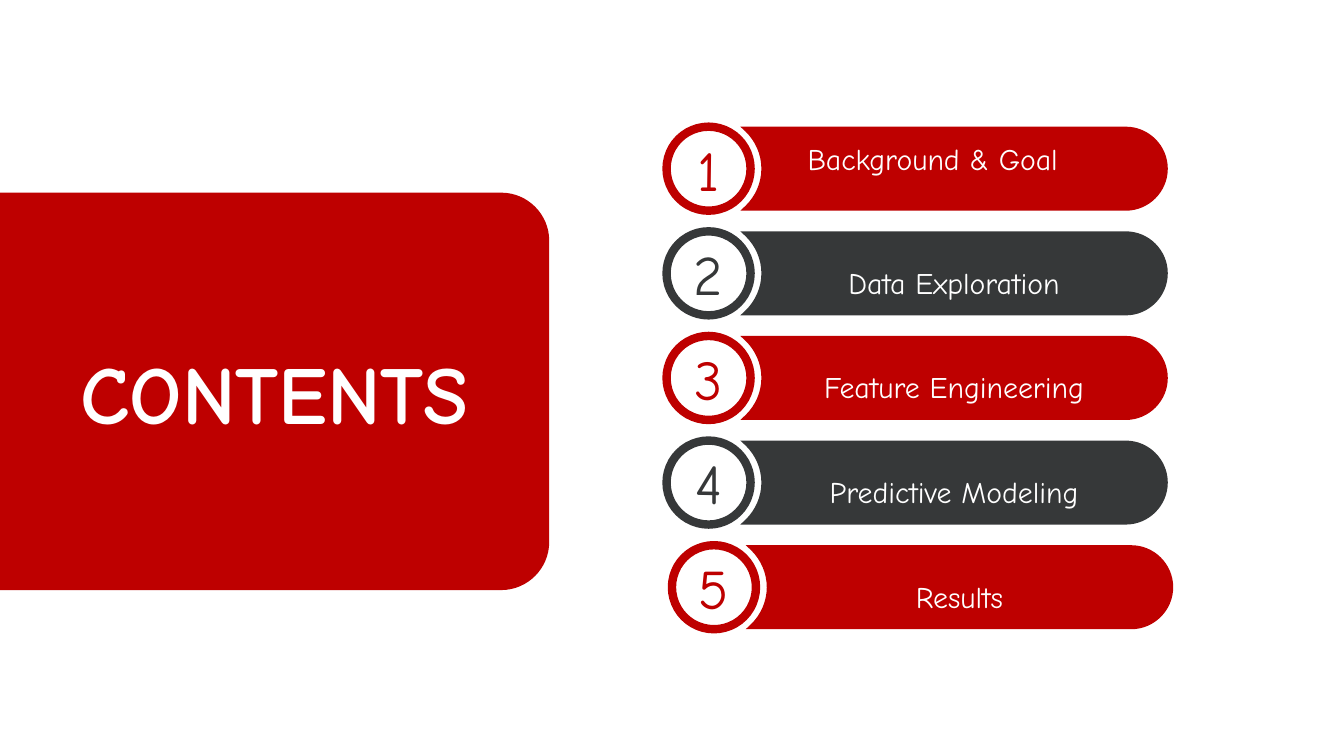
from lxml import etree
from pptx import Presentation
from pptx.dml.color import RGBColor
from pptx.enum import shapes, text
from pptx.oxml.ns import qn
from pptx.util import Pt

RED, GREY, WHITE = "BE0000", "363839", "FFFFFF"
FONT = "Comic Neue"
ITEMS = ["Background & Goal", "Data Exploration", "Feature Engineering",
         "Predictive Modeling", "Results"]
TOP, PITCH, HEIGHT = 67.9, 56.05, 45
ROUND = 0.55


def color(value):
    return RGBColor.from_string(value)


def apply(obj, values):
    for name, value in values.items():
        setattr(obj, name, value)


def corner(start, end, apex):
    def toward(point):
        return tuple(a + (b - a) * ROUND for a, b in zip(point, apex))
    return [toward(start), toward(end), end]


def paint(sp, fill, line=None, width=0):
    sp.shadow.inherit = False
    sp.fill.solid()
    sp.fill.fore_color.rgb = color(fill)
    if line:
        sp.line.color.rgb = color(line)
        sp.line.width = Pt(width)
    else:
        sp.line.fill.background()


def add_outline(slide, start, segments, fill):
    builder = slide.shapes.build_freeform(Pt(start[0]), Pt(start[1]))
    points = [(Pt(x), Pt(y)) for segment in segments for x, y in segment]
    builder.add_line_segments(points, close=True)
    sp = builder.convert_to_shape()
    lines = iter(list(sp._element.iter(qn("a:lnTo"))))
    for segment in segments:
        group = [next(lines) for _ in segment]
        if len(group) == 3:
            curve = etree.Element(qn("a:cubicBezTo"))
            group[0].addprevious(curve)
            for line in group:
                curve.append(line[0])
                line.getparent().remove(line)
    paint(sp, fill)
    return sp


def write(sp, content, size, fill, bold=False, align=text.PP_ALIGN.CENTER,
          spacing=1.0, indent=0, bottom=0):
    tf = sp.text_frame
    apply(tf, dict(margin_left=0, margin_top=0, margin_right=0,
                   margin_bottom=Pt(bottom), word_wrap=True,
                   auto_size=text.MSO_AUTO_SIZE.NONE,
                   vertical_anchor=text.MSO_ANCHOR.MIDDLE))
    p = tf.paragraphs[0]
    apply(p, dict(alignment=align, line_spacing=spacing,
                  space_before=Pt(0), space_after=Pt(0)))
    if indent:
        p._p.get_or_add_pPr().set("indent", str(Pt(indent)))
    r = p.add_run()
    r.text = content
    apply(r.font, dict(name=FONT, size=Pt(size), bold=bold))
    r.font.color.rgb = color(fill)


def add_panel(slide):
    right, top, bottom, radius = 294.2, 103.2, 316.1, 25.7
    edge = right - radius
    add_outline(slide, (0, top), [
        [(edge, top)],
        corner((edge, top), (right, top + radius), (right, top)),
        [(right, bottom - radius)],
        corner((right, bottom - radius), (edge, bottom), (right, bottom)),
        [(0, bottom)],
    ], RED)


def add_title(slide):
    sp = slide.shapes.title
    apply(sp, dict(left=Pt(14), top=Pt(181.4), width=Pt(266.4), height=Pt(56.9)))
    write(sp, "CONTENTS", 44, WHITE, bold=True)
    slide.shapes._spTree.append(sp._element)


def add_banner(slide, left, top, fill):
    radius = HEIGHT / 2
    cy, bottom, right = top + radius, top + HEIGHT, left + 229
    edge, notch = right - radius, left + 11.3
    return add_outline(slide, (left, top), [
        [(edge, top)],
        corner((edge, top), (right, cy), (right, top)),
        corner((right, cy), (edge, bottom), (right, bottom)),
        [(left, bottom)],
        [(left + 2.9, bottom - 2.7)],
        [(left + 8.1, bottom - 7.8), (notch, cy + 7.6), (notch, cy)],
        [(notch, cy - 7.6), (left + 8.1, top + 7.8), (left + 2.9, top + 2.7)],
    ], fill)


def add_badge(slide, number, left, top, fill):
    sp = slide.shapes.add_shape(shapes.MSO_SHAPE.OVAL, Pt(left), Pt(top),
                                Pt(HEIGHT), Pt(HEIGHT))
    paint(sp, WHITE, fill, 4.5)
    write(sp, str(number), 30, fill)


def main():
    prs = Presentation()
    apply(prs, dict(slide_width=Pt(720), slide_height=Pt(405)))
    slide = prs.slides.add_slide(prs.slide_layouts[5])
    add_panel(slide)
    first = dict(align=text.PP_ALIGN.LEFT, indent=36, bottom=10.4)
    for i, label in enumerate(ITEMS):
        last = i == len(ITEMS) - 1
        if last:
            add_title(slide)
        left, top, fill = 360 if last else 357.1, TOP + i * PITCH, (RED, GREY)[i % 2]
        layout = dict(spacing=1.5) if i else first
        write(add_banner(slide, left + 39.5, top, fill), label, 16, WHITE, **layout)
        add_badge(slide, i + 1, left, top, fill)
    prs.save("out.pptx")


main()
